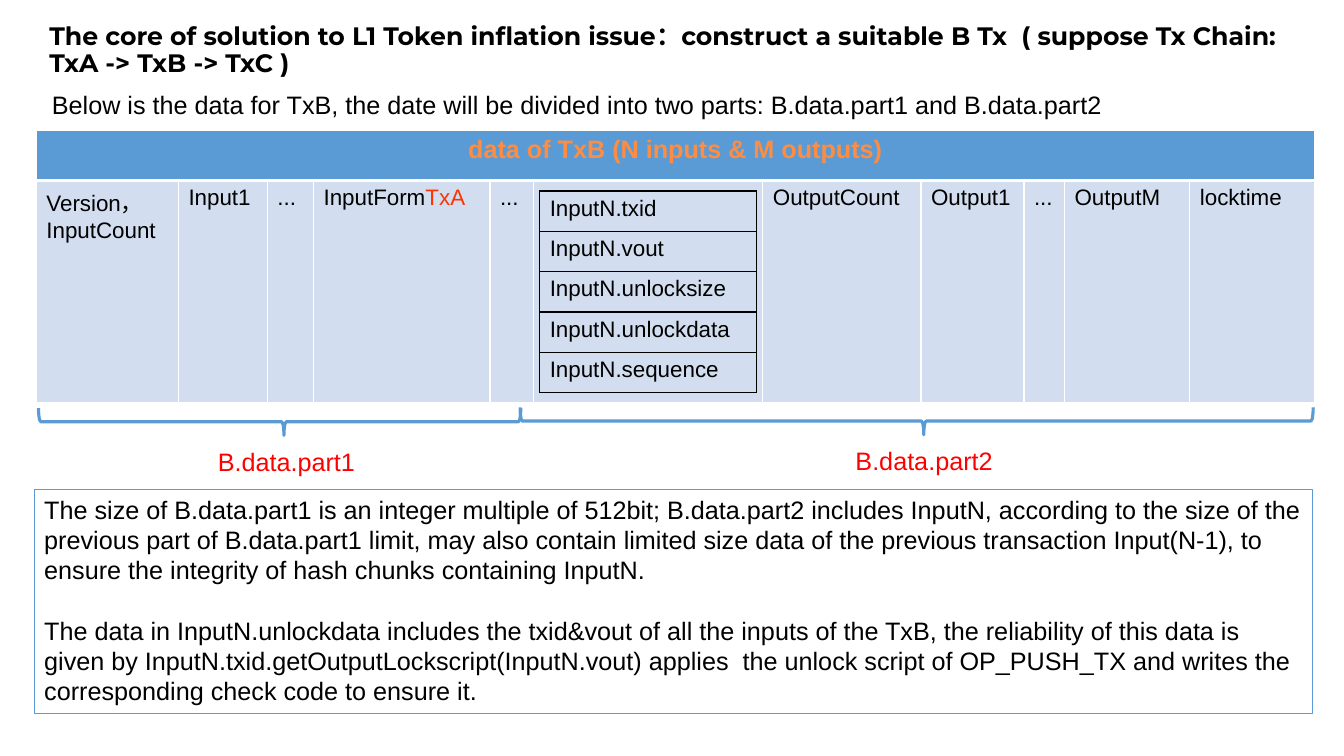
from lxml.etree import SubElement as Sub
from pptx import Presentation as Deck
from pptx.dml.color import RGBColor as Color
from pptx.enum.shapes import MSO_SHAPE as Kind
from pptx.enum.text import MSO_ANCHOR as Anchor, PP_ALIGN as Align
from pptx.oxml.ns import qn
from pptx.util import Pt

BLUE, PALE, WHITE, BLACK = "5B9BD5", "D2DEEF", "FFFFFF", "000000"
RED, FLAME, ORANGE = "FF0000", "FF3300", "FF8D41"


def tint(code):
    return Color.from_string(code)


class Page:
    face = "Arial"

    def __init__(self, slide):
        self.slide = slide

    def style(self, para, size=18, color=BLACK, bold=False, face=None):
        font = para.font
        font.name, font.size, font.bold = face or self.face, Pt(size), bold
        font.color.rgb = tint(color)

    def words(self, frame, text, **look):
        frame.text = text
        for para in frame.paragraphs:
            self.style(para, **look)

    def title(self, text, box):
        head = self.slide.shapes.title
        head.left, head.top, head.width, head.height = map(Pt, box)
        frame = head.text_frame
        frame.vertical_anchor = Anchor.MIDDLE
        self.words(frame, text, bold=True, face="Montserrat")
        para = frame.paragraphs[0]
        para.alignment, para.line_spacing = Align.LEFT, 0.9

    def label(self, text, box, color=BLACK, wrap=True):
        frame = self.slide.shapes.add_textbox(*map(Pt, box)).text_frame
        frame.word_wrap = wrap
        self.words(frame, text, color=color)

    def shape(self, kind, box, width):
        item = self.slide.shapes.add_shape(kind, *map(Pt, box))
        item.shadow.inherit = False
        item.line.color.rgb = tint(BLUE)
        item.line.width = Pt(width)
        return item

    def panel(self, text, box, gap):
        item = self.shape(Kind.RECTANGLE, box, 1)
        item.fill.solid()
        item.fill.fore_color.rgb = tint(WHITE)
        frame = item.text_frame
        frame.word_wrap, frame.vertical_anchor = True, Anchor.TOP
        self.words(frame, text)
        for para in frame.paragraphs:
            para.alignment = Align.LEFT
        frame.paragraphs[-1].space_before = Pt(gap)

    def brace(self, left, top, width, height):
        x, y = left + (width - height) / 2, top + (height - width) / 2
        item = self.shape(Kind.LEFT_BRACE, (x, y, height, width), 2.25)
        item.fill.background()
        item.rotation = 270
        item.adjustments[0], item.adjustments[1] = 0.083, 0.509

    def table(self, left, top, cols, rows):
        size = map(Pt, (left, top, sum(cols), sum(rows)))
        grid = self.slide.shapes.add_table(len(rows), len(cols), *size).table
        grid.first_row = grid.horz_banding = False
        for col, width in zip(grid.columns, cols):
            col.width = Pt(width)
        for row, height in zip(grid.rows, rows):
            row.height = Pt(height)
        return grid

    def cell(self, cell, text, edge, fill=None, base=1, **look):
        self.words(cell.text_frame, text, **look)
        if fill:
            cell.fill.solid()
            cell.fill.fore_color.rgb = tint(fill)
        else:
            cell.fill.background()
        prop = cell._tc.get_or_add_tcPr()
        for spot, side in enumerate("LRTB"):
            width = base if side == "B" else 1
            line = Sub(prop, qn("a:ln" + side), w=str(Pt(width)))
            Sub(Sub(line, qn("a:solidFill")), qn("a:srgbClr"), val=edge)
            prop.remove(line)
            prop.insert(spot, line)


deck = Deck()
deck.slide_width, deck.slide_height = Pt(960), Pt(540)
page = Page(deck.slides.add_slide(deck.slide_layouts[5]))

page.title("The core of solution to L1 Token inflation issue\uff1aconstruct a suitable B Tx  "
           "( suppose Tx Chain: TxA -> TxB -> TxC )", (28, 20, 929.5, 32.5))
page.label("Below is the data for TxB, the date will be divided into two parts: "
           "B.data.part1 and B.data.part2", (30, 60.5, 774, 51))
page.panel(
    "The size of B.data.part1 is an integer multiple of 512bit; B.data.part2 includes "
    "InputN, according to the size of the previous part of B.data.part1 limit, may also "
    "contain limited size data of the previous transaction Input(N-1), to ensure the "
    "integrity of hash chunks containing InputN.\n"
    "The data in InputN.unlockdata includes the txid&vout of all the inputs of the TxB, "
    "the reliability of this data is given by InputN.txid.getOutputLockscript(InputN.vout) "
    "applies\u00a0 the unlock script of OP_PUSH_TX and writes the corresponding check code "
    "to ensure it.", (24.5, 349.5, 913, 160), 21.6)

fields = [("Version\uff0c\nInputCount", 101.5), ("Input1", 63.5), ("...", 33),
          ("InputForm", 126), ("...", 31), ("", 164), ("OutputCount", 113),
          ("Output1", 73.5), ("...", 29), ("OutputM", 89.5), ("locktime", 89)]
data = page.table(26, 93.5, [width for _, width in fields], [35.5, 158.5])
for spot, (text, _) in enumerate(fields):
    page.cell(data.cell(0, spot), "", WHITE, BLUE, base=3)
    page.cell(data.cell(1, spot), text, WHITE, PALE, size=16)
head = data.cell(0, 0)
head.merge(data.cell(0, len(fields) - 1))
page.words(head.text_frame, "data of TxB (N inputs & M outputs)", color=ORANGE, bold=True)
head.text_frame.paragraphs[0].alignment = Align.CENTER
run = data.cell(1, 3).text_frame.paragraphs[0].add_run()
run.text = "TxA"
run.font.color.rgb = tint(FLAME)

parts = ["txid", "vout", "unlocksize", "unlockdata", "sequence"]
inner = page.table(385.5, 136.5, [155], [28.8] * len(parts))
for spot, part in enumerate(parts):
    page.cell(inner.cell(spot, 0), "InputN." + part, BLACK, size=16)

page.brace(27.5, 291.5, 344.5, 19.5)
page.brace(371.5, 291, 566.5, 19.5)
page.label("B.data.part1", (148.5, 315.5, 114, 29), RED, False)
page.label("B.data.part2", (604, 314.5, 114, 29), RED, False)

deck.save("out.pptx")
